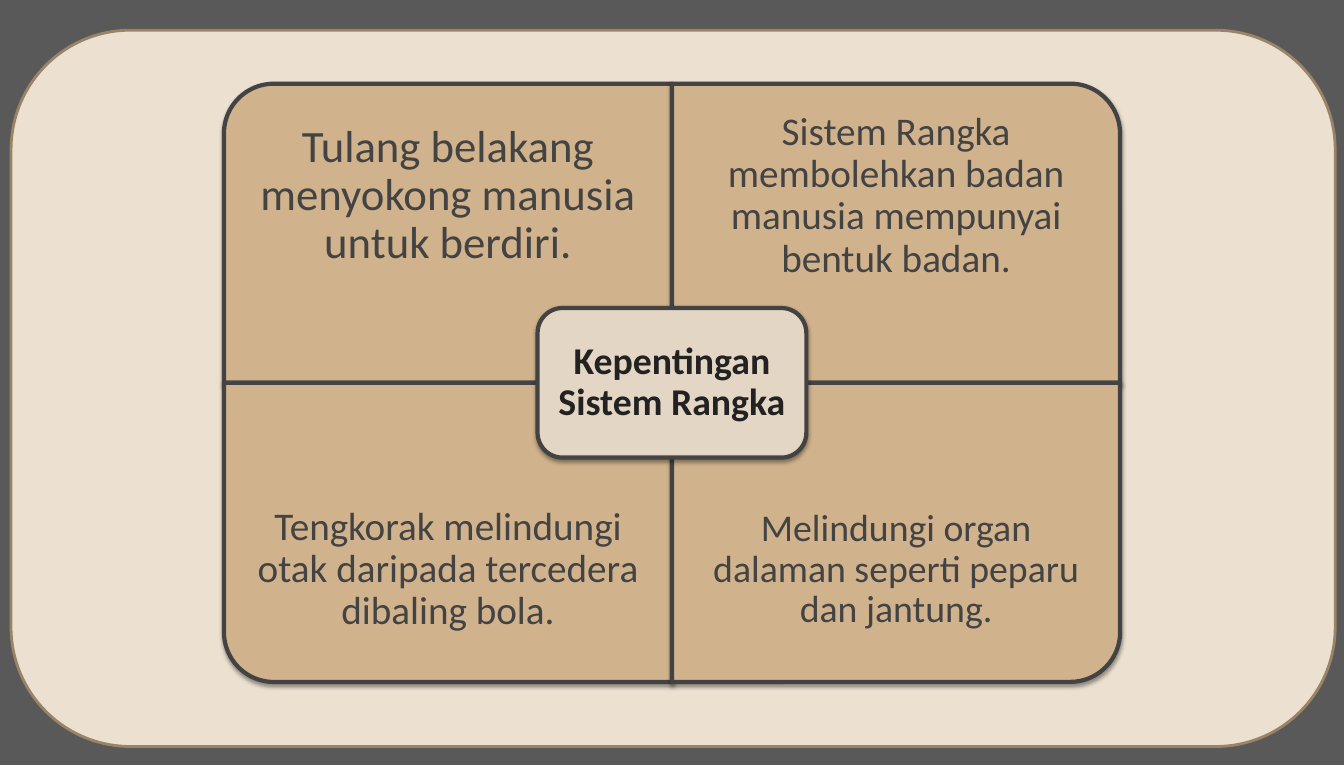
from dataclasses import dataclass

from lxml.etree import SubElement
from pptx import Presentation
from pptx.dml.color import RGBColor
from pptx.enum.shapes import MSO_SHAPE
from pptx.enum.text import MSO_ANCHOR, MSO_AUTO_SIZE, PP_ALIGN
from pptx.oxml.ns import qn
from pptx.shapes.autoshape import Shape
from pptx.slide import Slide
from pptx.util import Pt

SLIDE_WIDTH, SLIDE_HEIGHT = 961, 546.75
CENTRE_X, CENTRE_Y = 480.5, 273.6
CELL_WIDTH, CELL_HEIGHT = 320.4, 213.8
TEXT_HEIGHT = CELL_HEIGHT * 0.75
HUB_WIDTH, HUB_HEIGHT = 192.2, 106.9
HUB_MARGIN = 5.2
INK = "434343"


@dataclass(frozen=True)
class Box:
    """A rectangle in points."""

    left: float
    top: float
    width: float
    height: float


@dataclass(frozen=True)
class Quadrant:
    """One benefit, its cell in the grid and its outer corner's rotation."""

    text: str
    column: int
    row: int
    rotation: int
    size: float
    inset: float


QUADRANTS = [
    Quadrant("Tulang belakang menyokong manusia untuk berdiri.", 0, 0, 270, 32, 18),
    Quadrant("Sistem Rangka membolehkan badan manusia mempunyai bentuk badan.", 1, 0, 0, 28, 16),
    Quadrant("Tengkorak melindungi otak daripada tercedera dibaling bola.", 0, 1, 180, 28, 16),
    Quadrant("Melindungi organ dalaman seperti peparu dan jantung.", 1, 1, 90, 27, 15),
]


def colour(code: str) -> RGBColor:
    """Turn a hex string into a colour."""
    return RGBColor.from_string(code)


def place(shape: Shape, box: Box) -> None:
    """Move and size a shape."""
    shape.left, shape.top = Pt(box.left), Pt(box.top)
    shape.width, shape.height = Pt(box.width), Pt(box.height)


def add_panel(slide: Slide, kind: MSO_SHAPE, box: Box, fill: str, line: str, weight: float) -> Shape:
    """Draw a filled, outlined shape without a shadow."""
    panel = slide.shapes.add_shape(kind, 0, 0, 0, 0)
    place(panel, box)
    panel.shadow.inherit = False
    panel.fill.solid()
    panel.fill.fore_color.rgb = colour(fill)
    panel.line.color.rgb = colour(line)
    panel.line.width = Pt(weight)
    return panel


def add_shadow(shape: Shape) -> None:
    """Give a shape a soft shadow that falls straight down."""
    effects = shape._element.spPr.find(qn("a:effectLst"))
    shadow = SubElement(effects, qn("a:outerShdw"), blurRad=str(Pt(3.1)), dist=str(Pt(1.6)),
                        dir="5400000", rotWithShape="0")
    shade = SubElement(shadow, qn("a:srgbClr"), val="000000")
    SubElement(shade, qn("a:alpha"), val="38000")


def write_text(shape: Shape, text: str, size: float, ink: str, inset: float, bold: bool = False) -> None:
    """Fill a shape with one centred paragraph."""
    frame = shape.text_frame
    frame.word_wrap = True
    frame.auto_size = MSO_AUTO_SIZE.NONE
    frame.vertical_anchor = MSO_ANCHOR.MIDDLE
    frame.margin_left = frame.margin_right = Pt(inset)
    frame.margin_top = frame.margin_bottom = Pt(inset)
    paragraph = frame.paragraphs[0]
    paragraph.alignment = PP_ALIGN.CENTER
    paragraph.line_spacing = 0.9
    run = paragraph.add_run()
    run.text = text
    run.font.name = "Calibri"
    run.font.size = Pt(size)
    run.font.bold = bold
    run.font.color.rgb = colour(ink)


def add_quadrant(slide: Slide, quadrant: Quadrant) -> None:
    """Draw one cell with its rounded outer corner and its text."""
    left = CENTRE_X + (quadrant.column - 1) * CELL_WIDTH
    top = CENTRE_Y + (quadrant.row - 1) * CELL_HEIGHT
    width, height = CELL_WIDTH, CELL_HEIGHT
    if quadrant.rotation % 180:
        width, height = height, width
    box = Box(left + (CELL_WIDTH - width) / 2, top + (CELL_HEIGHT - height) / 2, width, height)
    panel = add_panel(slide, MSO_SHAPE.ROUND_1_RECTANGLE, box, "D0B38C", INK, 3)
    panel.rotation = quadrant.rotation
    add_shadow(panel)
    text_top = top + quadrant.row * (CELL_HEIGHT - TEXT_HEIGHT)
    label = slide.shapes.add_textbox(Pt(left), Pt(text_top), Pt(CELL_WIDTH), Pt(TEXT_HEIGHT))
    write_text(label, quadrant.text, quadrant.size, INK, quadrant.inset)


def add_hub(slide: Slide) -> None:
    """Draw the central panel and lay the slide title over it."""
    box = Box(CENTRE_X - HUB_WIDTH / 2, CENTRE_Y - HUB_HEIGHT / 2, HUB_WIDTH, HUB_HEIGHT)
    add_shadow(add_panel(slide, MSO_SHAPE.ROUNDED_RECTANGLE, box, "E4D6C5", INK, 3))
    title = slide.shapes.title
    place(title, Box(box.left + HUB_MARGIN, box.top + HUB_MARGIN,
                     HUB_WIDTH - 2 * HUB_MARGIN, HUB_HEIGHT - 2 * HUB_MARGIN))
    write_text(title, "Kepentingan Sistem Rangka", 27, "222222", 7, bold=True)
    slide.shapes._spTree.append(title._element)


def main() -> None:
    """Build and save the slide."""
    presentation = Presentation()
    presentation.slide_width, presentation.slide_height = Pt(SLIDE_WIDTH), Pt(SLIDE_HEIGHT)
    slide = presentation.slides.add_slide(presentation.slide_layouts.get_by_name("Title Only"))
    slide.background.fill.solid()
    slide.background.fill.fore_color.rgb = colour("595959")
    add_panel(slide, MSO_SHAPE.ROUNDED_RECTANGLE, Box(7.9, 21.6, 946.8, 511.9), "ECE1D1", "9A8468", 2)
    for quadrant in QUADRANTS:
        add_quadrant(slide, quadrant)
    add_hub(slide)
    presentation.save("out.pptx")


if __name__ == "__main__":
    main()
